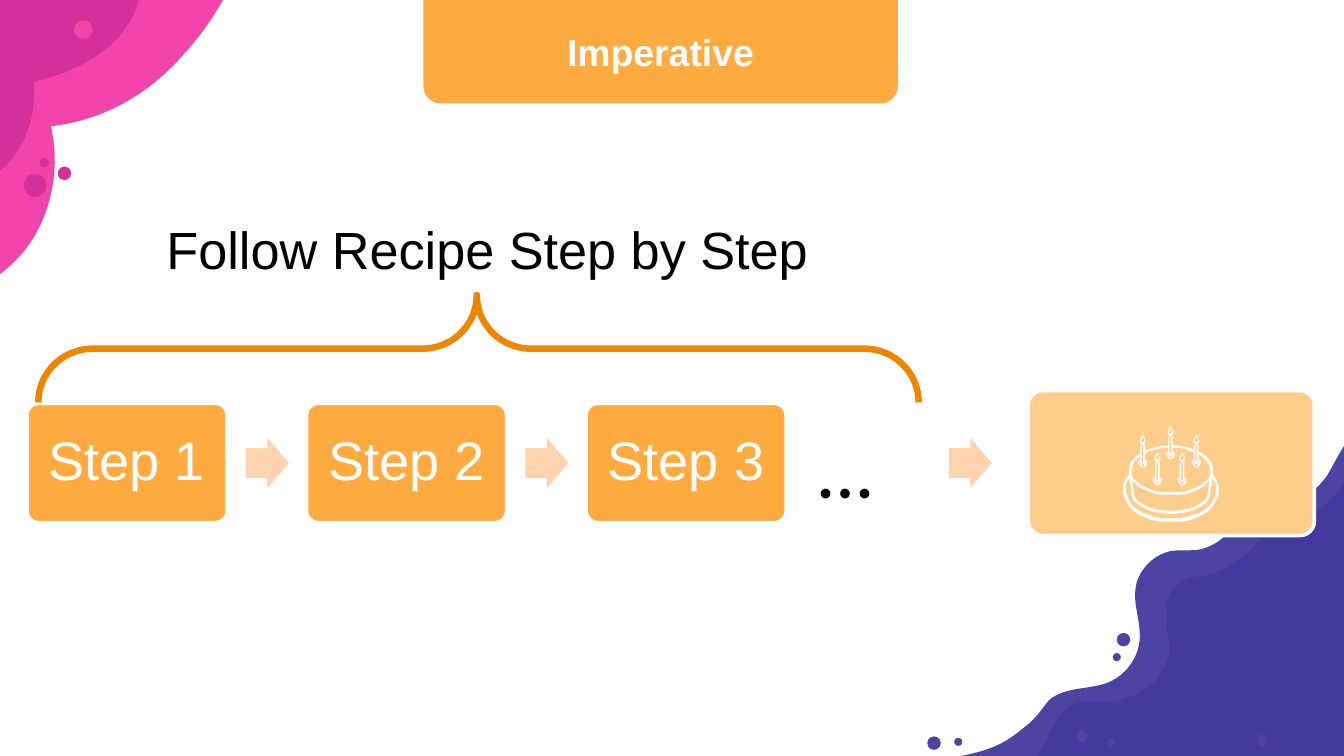
from pptx import Presentation
from pptx.dml.color import RGBColor
from pptx.enum.shapes import MSO_SHAPE as SHAPE
from pptx.enum.text import MSO_ANCHOR as ANCHOR, PP_ALIGN as ALIGN
from pptx.util import Inches, Pt

W = 10
H = W * 9 / 16
WHITE, BLACK = "FFFFFF", "000000"
ORANGE, PALE_ORANGE, PEACH, DARK_ORANGE = "FFAB40", "FFCD8C", "FFD2B0", "EF8600"
PINK, MAGENTA, INDIGO, VIOLET = "F145AB", "D5309A", "423A9C", "4D43A3"

TITLE = "Imperative"
CAPTION = "Follow Recipe Step by Step"
STEPS = ["Step 1", "Step 2", "Step 3"]
MORE, RESULT = "…", "🎂"

BLOBS = [
    (PINK, (0, 0), [
        (0, 2.04), (0.08, 1.98, 0.15, 1.91, 0.21, 1.83),
        (0.39, 1.58, 0.45, 1.24, 0.38, 0.94), (0.77, 0.9, 1.13, 0.69, 1.38, 0.39),
        (1.49, 0.27, 1.58, 0.14, 1.66, 0)]),
    (MAGENTA, (0, 0), [
        (0, 1.27), (0.18, 1.13, 0.28, 0.86, 0.25, 0.61),
        (0.48, 0.55, 0.7, 0.47, 0.87, 0.29), (0.94, 0.21, 1.01, 0.11, 1.03, 0)]),
    (VIOLET, (W, 3.32), [
        (9.96, 3.38, 9.92, 3.46, 9.88, 3.53), (9.82, 3.62, 9.74, 3.69, 9.65, 3.7),
        (9.55, 3.71, 9.48, 3.68, 9.42, 3.68), (9.39, 3.68, 9.37, 3.68, 9.35, 3.69),
        (9.25, 3.73, 9.22, 3.84, 9.16, 3.93), (9.11, 4.01, 9.02, 4.07, 8.92, 4.09),
        (8.85, 4.1, 8.78, 4.09, 8.71, 4.1), (8.58, 4.13, 8.47, 4.24, 8.45, 4.37),
        (8.43, 4.5, 8.49, 4.63, 8.48, 4.76), (8.47, 4.9, 8.37, 5.03, 8.24, 5.08),
        (8.11, 5.13, 7.95, 5.11, 7.83, 5.19), (7.79, 5.21, 7.75, 5.3, 7.66, 5.38),
        (7.6, 5.43, 7.54, 5.48, 7.47, 5.52), (7.38, 5.57, 7.28, 5.6, 7.15, H), (W, H)]),
    (INDIGO, (7.72, H), [
        (7.75, 5.58, 7.77, 5.54, 7.79, 5.5), (7.84, 5.4, 7.88, 5.28, 7.99, 5.24),
        (8.07, 5.21, 8.16, 5.22, 8.25, 5.22), (8.47, 5.21, 8.68, 5.05, 8.7, 4.84),
        (8.7, 4.75, 8.68, 4.67, 8.68, 4.58), (8.67, 4.5, 8.69, 4.41, 8.75, 4.35),
        (8.81, 4.3, 8.9, 4.29, 8.98, 4.28), (9.15, 4.24, 9.3, 4.13, 9.39, 3.98),
        (9.41, 3.95, 9.42, 3.92, 9.44, 3.9), (9.52, 3.82, 9.64, 3.85, 9.74, 3.82),
        (9.86, 3.78, 9.93, 3.69, W, 3.59), (W, H)]),
]

DOTS = [
    (0.48, 1.29, 0.1, MAGENTA), (0.62, 0.22, 0.14, PINK), (0.26, 1.38, 0.17, MAGENTA),
    (0.33, 1.21, 0.07, MAGENTA), (8.05, 5.48, 0.09, VIOLET), (9.39, 5.51, 0.09, VIOLET),
    (8.27, 5.52, 0.06, VIOLET), (8.31, 4.89, 0.06, VIOLET), (7.13, 5.52, 0.06, VIOLET),
    (8.36, 4.76, 0.1, VIOLET), (6.95, 5.53, 0.1, VIOLET),
]

STEP_X, STEP_Y, STEP_W, STEP_H, PITCH = 0.2, 3, 1.49, 0.89, 2.08
ARROW_X, ARROW_W, ARROW_H = 1.83, 0.32, 0.37
MID_Y = STEP_Y + STEP_H / 2

prs = Presentation()
prs.slide_width, prs.slide_height = Inches(W), Inches(H)
slide = prs.slides.add_slide(prs.slide_layouts[6])
shapes = slide.shapes


def rgb(color):
    return RGBColor.from_string(color)


def paint(sp, fill=None, line=None, width=2):
    sp.shadow.inherit = False
    if fill:
        sp.fill.solid()
        sp.fill.fore_color.rgb = rgb(fill)
    else:
        sp.fill.background()
    if line:
        sp.line.color.rgb = rgb(line)
        sp.line.width = Pt(width)
    else:
        sp.line.fill.background()


def add_shape(kind, x, y, w, h, fill=None, line=None, width=2, adj=()):
    sp = shapes.add_shape(kind, Inches(x), Inches(y), Inches(w), Inches(h))
    for i, value in enumerate(adj):
        sp.adjustments[i] = value
    paint(sp, fill, line, width)
    return sp


def write(sp, text, size, color, align=ALIGN.LEFT, font="Arial", bold=False):
    tf = sp.text_frame
    tf.word_wrap = True
    tf.text = text
    p = tf.paragraphs[0]
    p.alignment = align
    f = p.runs[0].font
    f.size, f.name, f.bold, f.color.rgb = Pt(size), font, bold, rgb(color)
    return p


def add_text(x, y, w, h, *args, **style):
    return write(shapes.add_textbox(Inches(x), Inches(y), Inches(w), Inches(h)), *args, **style)


def add_card(x, w, h, fill, text, size, inset):
    sp = add_shape(SHAPE.ROUNDED_RECTANGLE, x, MID_Y - h / 2, w, h, fill, WHITE, adj=[0.1])
    tf = sp.text_frame
    tf.margin_left = tf.margin_right = tf.margin_top = tf.margin_bottom = Inches(inset)
    tf.vertical_anchor = ANCHOR.MIDDLE
    return write(sp, text, size, WHITE, ALIGN.CENTER)


def add_arrow(x):
    add_shape(SHAPE.RIGHT_ARROW, x, MID_Y - ARROW_H / 2, ARROW_W, ARROW_H, PEACH, adj=[0.6, 0.5])


def bezier(points, t):
    while len(points) > 1:
        points = [(a + (c - a) * t, b + (d - b) * t)
                  for (a, b), (c, d) in zip(points, points[1:])]
    return points[0]


def outline(start, segments, steps=10):
    points = [start]
    for seg in segments:
        control = [points[-1], *zip(seg[::2], seg[1::2])]
        count = steps if len(control) > 2 else 1
        points += [bezier(control, i / count) for i in range(1, count + 1)]
    return [(Inches(x), Inches(y)) for x, y in points]


for color, start, segments in BLOBS:
    points = outline(start, segments)
    builder = shapes.build_freeform(*points[0])
    builder.add_line_segments(points[1:], close=True)
    paint(builder.convert_to_shape(), color)

for x, y, d, color in DOTS:
    add_shape(SHAPE.OVAL, x - d / 2, y - d / 2, d, d, color)

for i, step in enumerate(STEPS):
    p = add_card(STEP_X + i * PITCH, STEP_W, STEP_H, ORANGE, step, 29, 0.12)
    p.line_spacing = 0.9
    if i < len(STEPS) - 1:
        add_arrow(ARROW_X + i * PITCH)

banner = add_shape(SHAPE.ROUND_2_SAME_RECTANGLE, 3.15, 0, 3.53, 0.77, ORANGE)
banner.rotation = 180
add_text(3.59, 0.17, 2.65, 0.44, TITLE, 20, WHITE, ALIGN.CENTER, bold=True)

add_card(7.65, 2.13, 1.08, PALE_ORANGE, RESULT, 54, 0.23)
add_arrow(7.06)
add_text(5.98, 2.99, 0.85, 0.91, MORE, 48, BLACK, font="Montserrat")

brace = add_shape(SHAPE.LEFT_BRACE, 3.16, -0.68, 0.8, 6.55, None, DARK_ORANGE, 3.5, [0.505, 0.502])
brace.rotation = 90
add_text(1.14, 1.57, 5.92, 0.57, CAPTION, 28, BLACK)

prs.save("out.pptx")
